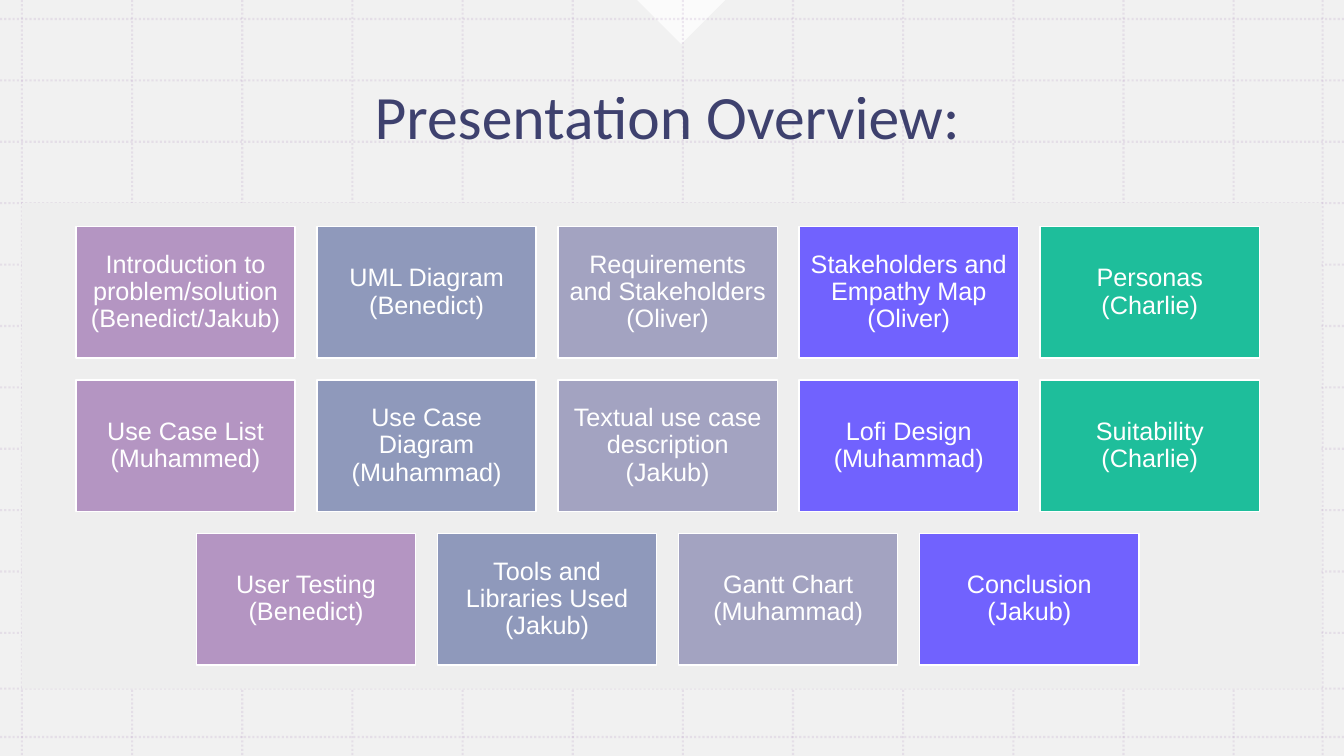
import lxml.etree
import pptx
import pptx.dml.color
import pptx.enum.dml
import pptx.enum.shapes
import pptx.enum.text
import pptx.oxml.ns
import pptx.util

Pt = pptx.util.Pt
SHAPES = pptx.enum.shapes.MSO_SHAPE
MIDDLE = pptx.enum.text.MSO_ANCHOR.MIDDLE
CENTER = pptx.enum.text.PP_ALIGN.CENTER
qn = pptx.oxml.ns.qn

SLIDE_WIDTH, SLIDE_HEIGHT = 960, 540


def rgb(hex_string):
    return pptx.dml.color.RGBColor.from_string(hex_string)


def set_opacity(element, percent):
    """Give every colour inside the XML element the same opacity."""
    for color in element.iter(qn("a:srgbClr")):
        alpha = lxml.etree.SubElement(color, qn("a:alpha"))
        alpha.set("val", str(percent * 1000))


presentation = pptx.Presentation()
presentation.slide_width = Pt(SLIDE_WIDTH)
presentation.slide_height = Pt(SLIDE_HEIGHT)
slide = presentation.slides.add_slide(presentation.slide_layouts[5])
slide.background.fill.solid()
slide.background.fill.fore_color.rgb = rgb("F1F1F1")

# Notch at the top edge
notch = slide.shapes.add_shape(
    SHAPES.RIGHT_TRIANGLE, Pt(464.4), Pt(-22.3), Pt(44.6), Pt(44.6))
notch.rotation = 315
notch.shadow.inherit = False
notch.fill.solid()
notch.fill.fore_color.rgb = rgb("FFFFFF")
notch.line.fill.background()
set_opacity(notch._element.spPr, 75)

# Dotted grid
column_lines = [15.7 + 78.68 * i for i in range(12)] + [944.8]
row_lines = [13.6 + 43.85 * i for i in range(11)] + [491.9, 526.4]
grid_lines = [(x, 0, x, SLIDE_HEIGHT) for x in column_lines]
grid_lines += [(0, y, SLIDE_WIDTH, y) for y in row_lines]
for ends in grid_lines:
    grid_line = slide.shapes.add_connector(
        pptx.enum.shapes.MSO_CONNECTOR.STRAIGHT, *[Pt(value) for value in ends])
    grid_line.line.color.rgb = rgb("B495C2")
    grid_line.line.width = Pt(1.5)
    grid_line.line.dash_style = pptx.enum.dml.MSO_LINE.ROUND_DOT
    set_opacity(grid_line._element.spPr, 20)
    lxml.etree.SubElement(grid_line._element.spPr, qn("a:effectLst"))

# Panel behind the cards
panel = slide.shapes.add_shape(
    SHAPES.RECTANGLE, Pt(15.7), Pt(145), Pt(928.3), Pt(346.9))
panel.shadow.inherit = False
panel.fill.solid()
panel.fill.fore_color.rgb = rgb("EEEEEE")
panel.line.fill.background()

# Title, brought in front of the grid
title = slide.shapes.title
slide.shapes._spTree.append(title._element)
title.left, title.top, title.width, title.height = Pt(23.8), Pt(26.6), Pt(905.8), Pt(118)
title.text_frame.text = "Presentation Overview:"
title.text_frame.vertical_anchor = MIDDLE
title_paragraph = title.text_frame.paragraphs[0]
title_paragraph.alignment = CENTER
title_paragraph.line_spacing = 0.9
title_run = title_paragraph.runs[0]
title_run.font.name = "Calibri"
title_run.font.size = Pt(44)
title_run.font.color.rgb = rgb("12154E")
set_opacity(title_run._r, 80)

# Cards: each row is centred and runs through the same colours
CARD_COLORS = ["B495C2", "8F99BB", "A3A3C1", "7162FE", "1EBE9B"]
CARD_ROWS = [
    ["Introduction to problem/solution (Benedict/Jakub)",
     "UML Diagram (Benedict)",
     "Requirements and Stakeholders (Oliver)",
     "Stakeholders and Empathy Map (Oliver)",
     "Personas (Charlie)"],
    ["Use Case List (Muhammed)",
     "Use Case Diagram (Muhammad)",
     "Textual use case description (Jakub)",
     "Lofi Design (Muhammad)",
     "Suitability (Charlie)"],
    ["User Testing (Benedict)",
     "Tools and Libraries Used (Jakub)",
     "Gantt Chart (Muhammad)",
     "Conclusion (Jakub)"],
]
CARD_WIDTH, CARD_HEIGHT, CARD_GAP = 156.6, 94, 15.6
CARDS_CENTER, CARDS_TOP = 476.9, 161.8

for row, labels in enumerate(CARD_ROWS):
    row_width = len(labels) * (CARD_WIDTH + CARD_GAP) - CARD_GAP
    row_left = CARDS_CENTER - row_width / 2
    row_top = CARDS_TOP + row * (CARD_HEIGHT + CARD_GAP)
    for column, (label, color) in enumerate(zip(labels, CARD_COLORS)):
        card = slide.shapes.add_shape(
            SHAPES.RECTANGLE,
            Pt(row_left + column * (CARD_WIDTH + CARD_GAP)), Pt(row_top),
            Pt(CARD_WIDTH), Pt(CARD_HEIGHT))
        card.shadow.inherit = False
        card.fill.solid()
        card.fill.fore_color.rgb = rgb(color)
        card.line.color.rgb = rgb("FFFFFF")
        card.line.width = Pt(1)
        frame = card.text_frame
        frame.text = label
        frame.word_wrap = True
        frame.vertical_anchor = MIDDLE
        frame.margin_left = frame.margin_right = Pt(5)
        frame.margin_top = frame.margin_bottom = Pt(5)
        paragraph = frame.paragraphs[0]
        paragraph.alignment = CENTER
        paragraph.line_spacing = 0.9
        font = paragraph.runs[0].font
        font.name = "Arial"
        font.size = Pt(18)
        font.color.rgb = rgb("FFFFFF")

presentation.save("out.pptx")
